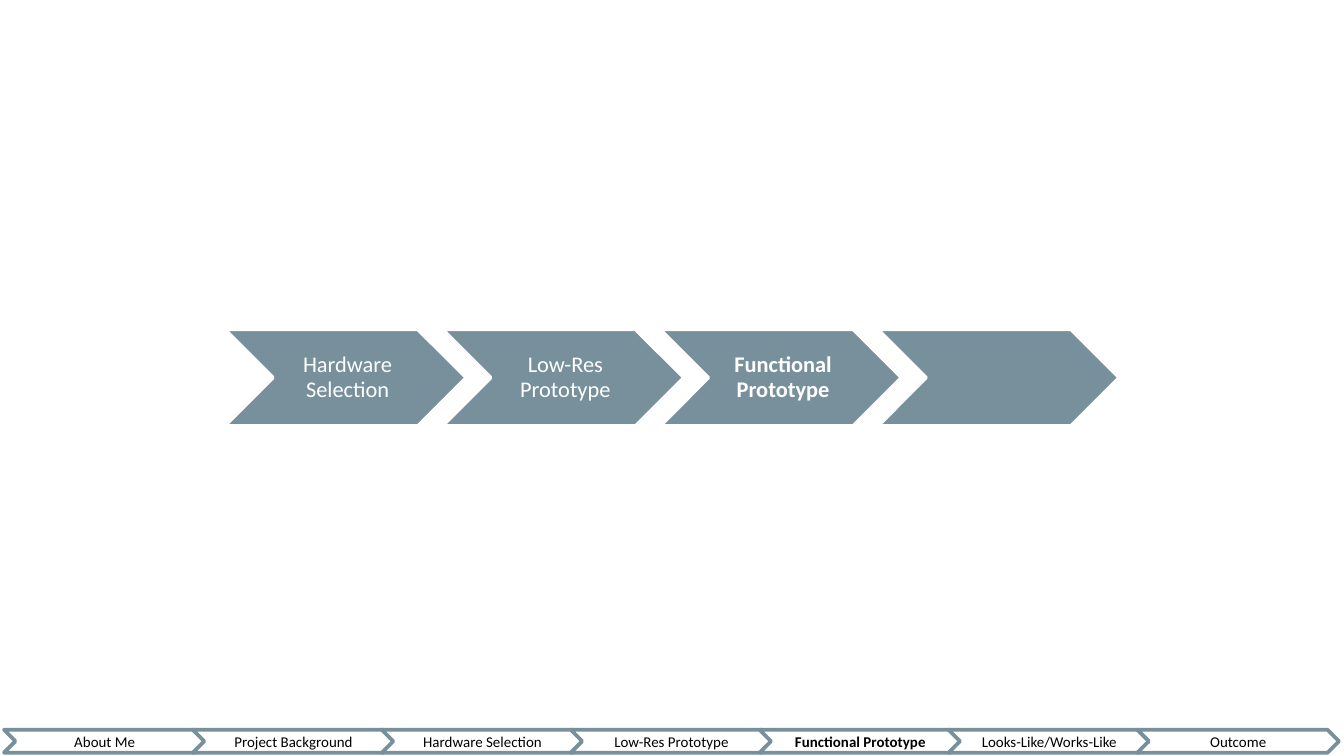
from pptx import Presentation
from pptx.dml.color import RGBColor
from pptx.enum.shapes import MSO_SHAPE
from pptx.enum.text import MSO_ANCHOR, PP_ALIGN
from pptx.util import Pt

COLORS = {"slate": "78909C", "white": "FFFFFF", "black": "000000"}
ACTIVE = "Functional Prototype"
STEPS = ["Hardware Selection", "Low-Res Prototype", ACTIVE, ""]
STAGES = ["About Me", "Project Background", "Hardware Selection",
          "Low-Res Prototype", ACTIVE, "Looks-Like/Works-Like", "Outcome"]


def rgb(name):
    return RGBColor.from_string(COLORS[name])


def write(frame, text, size=12, color="black", bold=False, spacing=None,
          insets=None):
    """Set one centred paragraph in a text frame."""
    frame.word_wrap = True
    frame.vertical_anchor = MSO_ANCHOR.MIDDLE
    if insets:
        (frame.margin_left, frame.margin_top,
         frame.margin_right, frame.margin_bottom) = map(Pt, insets)
    para = frame.paragraphs[0]
    para.alignment = PP_ALIGN.CENTER
    if spacing:
        para.line_spacing = spacing
    run = para.add_run()
    run.text = text
    run.font.name = "Calibri"
    run.font.size = Pt(size)
    run.font.bold = bold
    run.font.color.rgb = rgb(color)


class Deck:
    """Holds the style and the current slide."""
    line = 2

    def __init__(self, show):
        self.slide = show.slides.add_slide(show.slide_layouts[6])

    def chevron(self, *box, fill, line):
        shape = self.slide.shapes.add_shape(MSO_SHAPE.CHEVRON, *map(Pt, box))
        shape.shadow.inherit = False
        shape.fill.solid()
        shape.fill.fore_color.rgb = rgb(fill)
        shape.line.color.rgb = rgb(line)
        shape.line.width = Pt(self.line)
        return shape

    def label(self, *box, text, **style):
        frame = self.slide.shapes.add_textbox(*map(Pt, box)).text_frame
        write(frame, text, **style)


def main():
    show = Presentation()
    show.slide_width, show.slide_height = Pt(720), Pt(405)
    deck = Deck(show)

    # Process steps in the middle
    top, width, height = 176.4, 129.6, 51.84
    for i, text in enumerate(STEPS):
        left = 120.24 + i * width * 0.9
        deck.chevron(left, top, width, height, fill="slate", line="white")
        if text:
            deck.label(left + height / 2, top, width - height, height,
                       text=text, color="white", bold=text == ACTIVE,
                       spacing=0.9, insets=(3.6, 1.2, 1.2, 1.2))

    # Progress bar along the bottom
    for i, text in enumerate(STAGES):
        stage = deck.chevron(2.16 + i * 101.2, 391, 108, 12.24,
                             fill="white", line="slate")
        write(stage.text_frame, text, size=8, bold=text == ACTIVE)

    show.save("out.pptx")


if __name__ == "__main__":
    main()
